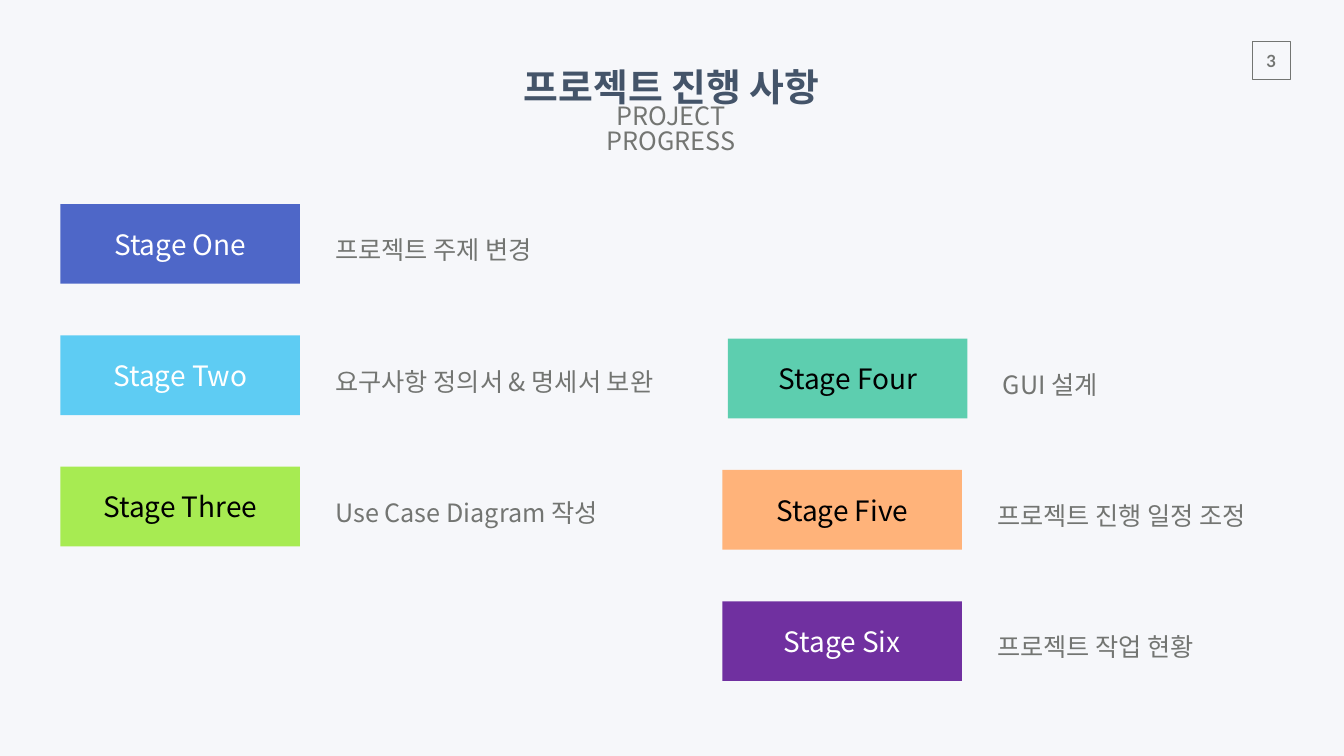
from dataclasses import dataclass

from lxml import etree
from pptx import Presentation
from pptx.dml.color import RGBColor
from pptx.enum.shapes import MSO_SHAPE
from pptx.enum.text import MSO_ANCHOR, PP_ALIGN
from pptx.oxml.ns import qn
from pptx.util import Inches, Pt

RECTANGLE = MSO_SHAPE.RECTANGLE
ROUNDED = MSO_SHAPE.ROUNDED_RECTANGLE
LEFT, CENTER = PP_ALIGN.LEFT, PP_ALIGN.CENTER
TOP, MIDDLE = MSO_ANCHOR.TOP, MSO_ANCHOR.MIDDLE


@dataclass(frozen=True)
class Theme:
    """Colours, fonts and type sizes of the deck."""
    background: str = "F6F7FA"
    heading: str = "445469"
    gray: str = "737572"
    white: str = "FFFFFF"
    black: str = "000000"
    blue: str = "4E67C8"
    sky: str = "5ECCF3"
    lime: str = "A7EB52"
    mint: str = "5DCEAF"
    orange: str = "FFB37A"
    purple: str = "7030A0"
    font: str = "Noto Sans CJK KR"
    number_font: str = "Lato"
    title_size: int = 54
    label_size: int = 40
    body_size: int = 36
    number_size: int = 24


THEME = Theme()
ROW_PITCH = 2.605
LABEL_WIDTH, LABEL_HEIGHT = 4.75, 1.58
CAPTION_SHIFT, CAPTION_DROP, CAPTION_HEIGHT = 5.25, 0.265, 0.96

STAGES = [
    ("Stage One", "프로젝트 주제 변경", THEME.blue, THEME.white, 1.2, 4.05, 0, 11.08),
    ("Stage Two", "요구사항 정의서 & 명세서 보완", THEME.sky, THEME.white, 1.2, 4.05, 1, 9.24),
    ("Stage Three", "Use Case Diagram 작성", THEME.lime, THEME.black, 1.2, 4.05, 2, 11.39),
    ("Stage Four", "GUI 설계", THEME.mint, THEME.black, 14.44, 6.72, 0, 5.03),
    ("Stage Five", "프로젝트 진행 일정 조정", THEME.orange, THEME.black, 14.33, 6.72, 1, 5.78),
    ("Stage Six", "프로젝트 작업 현황", THEME.purple, THEME.white, 14.33, 6.72, 2, 5.03),
]


def rgb(value):
    """Return the colour for a hex string."""
    return RGBColor.from_string(value)


def write(shape, text, *, size, color, font=THEME.font, bold=False, align=CENTER,
          anchor=MIDDLE, inset=(0, 0), wrap=True, spacing=None, before=None):
    """Put one formatted paragraph into a shape."""
    frame = shape.text_frame
    frame.word_wrap = wrap
    frame.vertical_anchor = anchor
    frame.margin_left = frame.margin_right = Inches(inset[0])
    frame.margin_top = frame.margin_bottom = Inches(inset[1])
    para = frame.paragraphs[0]
    para.alignment = align
    if spacing is not None:
        para.line_spacing = spacing
    if before is not None:
        para.space_before = Pt(before)
    span = para.add_run()
    span.text = text
    span.font.size = Pt(size)
    span.font.bold = bold
    span.font.color.rgb = rgb(color)
    span.font.name = font
    east_asian = etree.SubElement(span._r.get_or_add_rPr(), qn("a:ea"))
    east_asian.set("typeface", font)


def add_text(shapes, box, text, **style):
    """Add a text box with the given format."""
    write(shapes.add_textbox(*map(Inches, box)), text, **style)


def add_page_number(page, box, number):
    """Draw the outlined page number in its square."""
    left, top, width, height = box
    square = page.shapes.add_shape(RECTANGLE, *map(Inches, box))
    square.shadow.inherit = False
    square.fill.background()
    square.line.color.rgb = rgb(THEME.gray)
    square.line.width = Pt(1)
    add_text(page.shapes, (left - 0.03, top + 0.08, width + 0.06, height - 0.14), number,
             size=THEME.number_size, color=THEME.gray, font=THEME.number_font,
             bold=True, anchor=TOP, inset=(0.2, 0.1), wrap=False)


def add_header(page, box):
    """Write the title and the subtitle centred under it."""
    left, top, width, _ = box
    add_text(page.shapes, (left, top, width, 1.18), "프로젝트 진행 사항",
             size=THEME.title_size, color=THEME.heading, bold=True,
             inset=(0.27, 0.13), wrap=False)
    add_text(page.shapes, (left + 0.66, top + 1.03, width - 1.33, 0.88), "PROJECT PROGRESS",
             size=THEME.body_size, color=THEME.gray, inset=(0.35, 0.13), spacing=0.83)


def add_stage(page, box, label, caption, fill, color):
    """Group a coloured stage label with the caption beside it."""
    left, top, width, height = box
    shapes = page.shapes.add_group_shape().shapes
    block = shapes.add_shape(ROUNDED, Inches(left), Inches(top),
                             Inches(LABEL_WIDTH), Inches(height))
    block.adjustments[0] = 0
    block.shadow.inherit = False
    block.fill.solid()
    block.fill.fore_color.rgb = rgb(fill)
    block.line.fill.background()
    write(block, label, size=THEME.label_size, color=color)
    add_text(shapes, (left + CAPTION_SHIFT, top + CAPTION_DROP,
                      width - CAPTION_SHIFT, CAPTION_HEIGHT), caption,
             size=THEME.body_size, color=THEME.gray, align=LEFT, anchor=TOP,
             inset=(0.2, 0.1), spacing=1.4, before=20)


def main():
    """Build the project progress slide and save it."""
    deck = Presentation()
    deck.slide_width, deck.slide_height = Inches(26.66), Inches(15)
    page = deck.slides.add_slide(deck.slide_layouts[6])
    page.background.fill.solid()
    page.background.fill.fore_color.rgb = rgb(THEME.background)
    add_page_number(page, (24.84, 0.82, 0.75, 0.75), "3")
    for label, caption, fill, color, left, top, row, caption_width in STAGES:
        box = (left, top + row * ROW_PITCH, CAPTION_SHIFT + caption_width, LABEL_HEIGHT)
        add_stage(page, box, label, caption, fill, color)
    add_header(page, (9.99, 1.12, 6.66, 1.91))
    deck.save("out.pptx")


if __name__ == "__main__":
    main()
